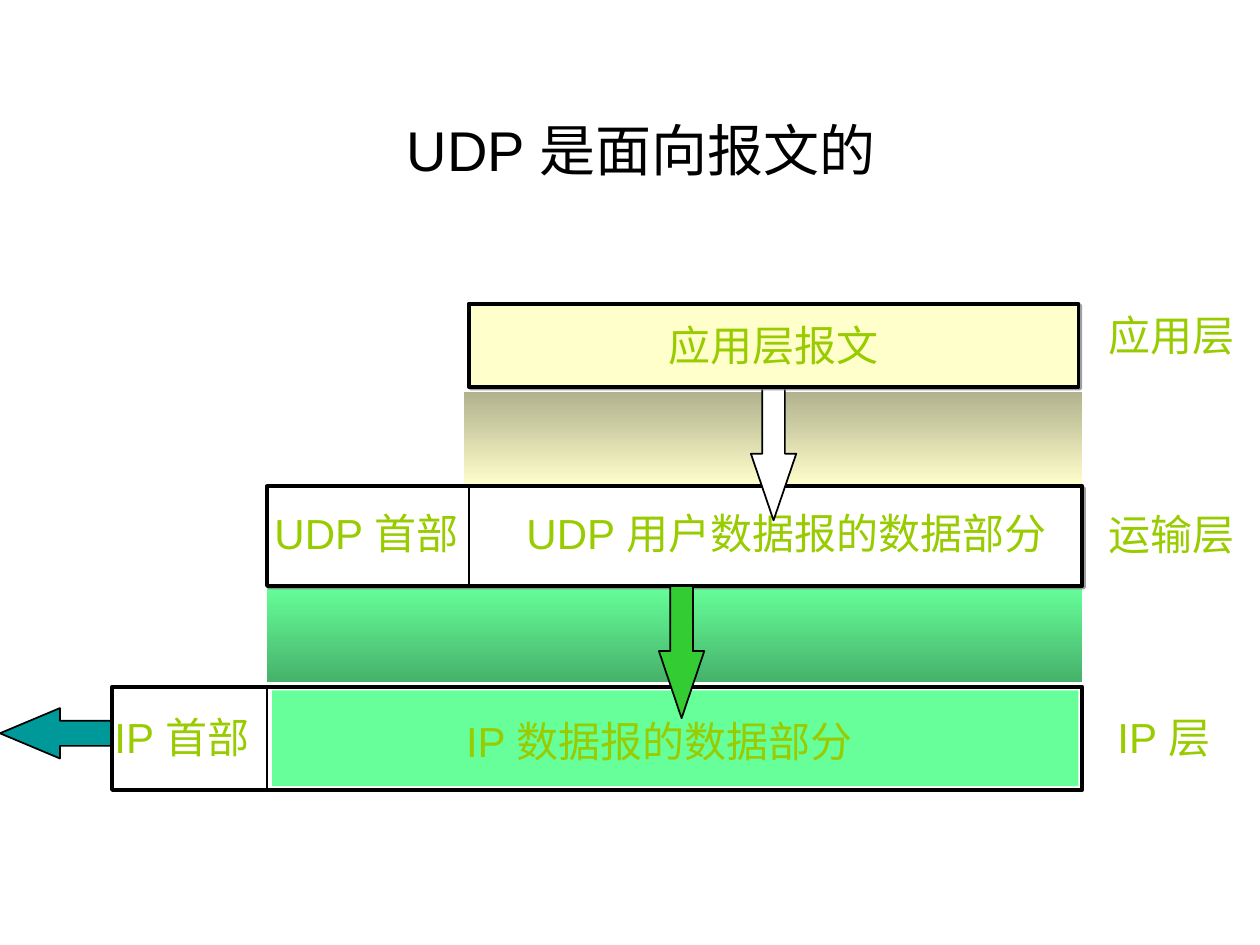
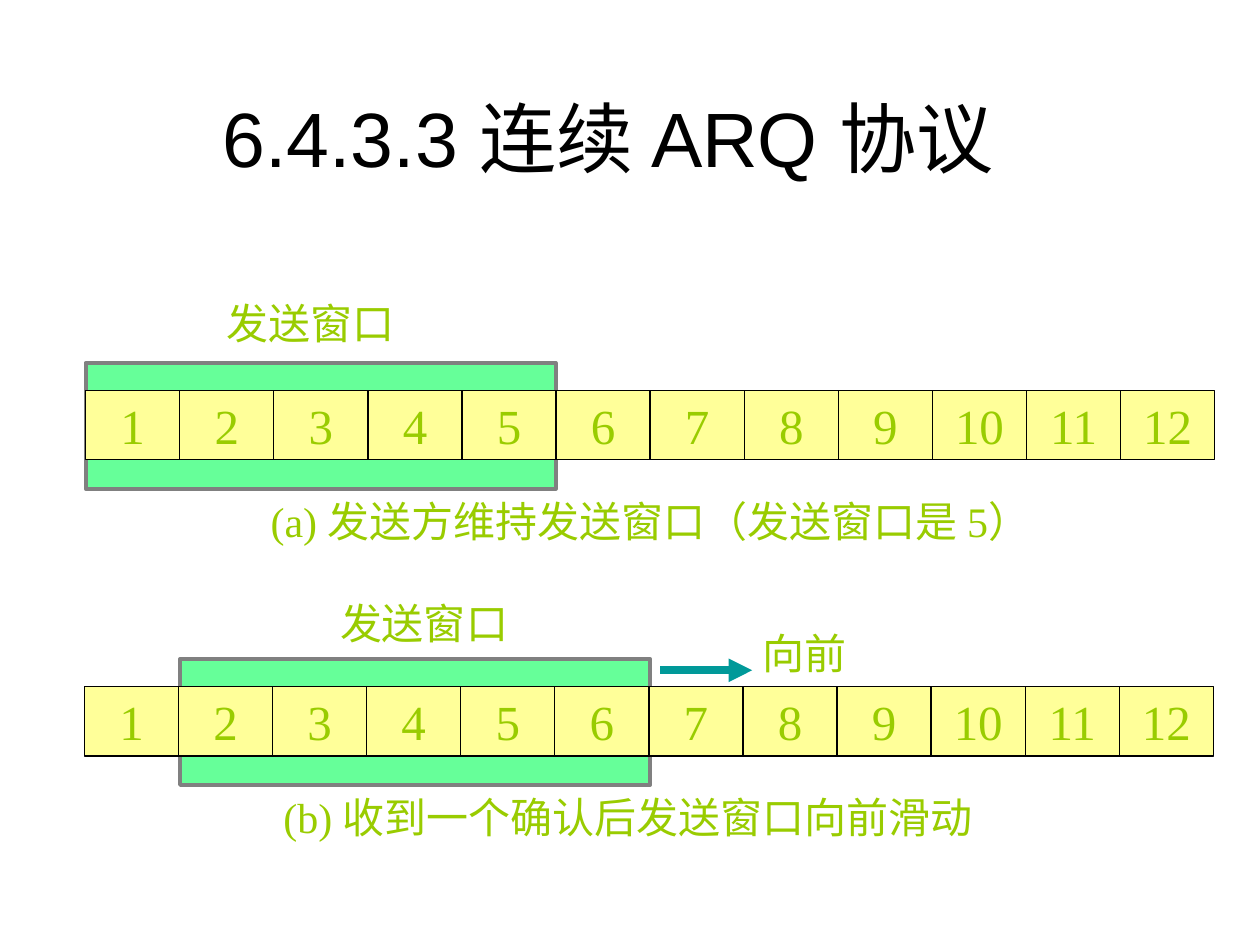
from lxml import etree
from pptx import Presentation
from pptx.dml.color import RGBColor
from pptx.enum.lang import MSO_LANGUAGE_ID
from pptx.enum.shapes import MSO_CONNECTOR, MSO_SHAPE
from pptx.enum.text import MSO_ANCHOR, MSO_AUTO_SIZE, PP_ALIGN
from pptx.oxml.ns import qn
from pptx.util import Inches, Pt

RECT, DOWN, LEFT = MSO_SHAPE.RECTANGLE, MSO_SHAPE.DOWN_ARROW, MSO_SHAPE.LEFT_ARROW
STRAIGHT = MSO_CONNECTOR.STRAIGHT
CENTER, START = PP_ALIGN.CENTER, PP_ALIGN.LEFT
TOP, MIDDLE, BOTTOM = MSO_ANCHOR.TOP, MSO_ANCHOR.MIDDLE, MSO_ANCHOR.BOTTOM
GROW, FIXED = MSO_AUTO_SIZE.SHAPE_TO_FIT_TEXT, MSO_AUTO_SIZE.NONE
CHINESE = MSO_LANGUAGE_ID.SIMPLIFIED_CHINESE

# Shared style
SANS, SERIF = "Arial", "Times New Roman"
BLACK, WHITE, GRAY = "000000", "FFFFFF", "808080"
LIME, MINT, TEAL, CREAM = "99CC00", "66FF99", "009999", "FFFFCC"

# Slide 1: place, then colours
BANDS = [
    ((2.12, 4.65, 6.47, 0.76), (MINT, "47B26B")),
    ((3.68, 3.11, 4.91, 0.75), ("B2B28E", CREAM)),
]
UDP_BOX = (2.12, 3.86, 6.47, 0.79)
IP_BOX = (0.89, 5.45, 7.7, 0.82)
IP_DATA = (2.16, 5.48, 6.4, 0.76)
APP_BOX = (3.72, 2.41, 4.84, 0.66)
SPLITS = [(3.72, UDP_BOX), (2.12, IP_BOX)]
LABELS = [
    ("IP 数据报的数据部分", (3.6, 5.63, 3.35, 0.5)),
    ("IP 首部", (0.81, 5.6, 1.35, 0.5)),
    ("IP 层", (8.77, 5.6, 1.02, 0.5)),
    ("UDP 首部", (2.08, 3.98, 1.74, 0.5)),
    ("UDP 用户数据报的数据部分", (4.08, 3.98, 4.41, 0.5)),
    ("运输层", (8.7, 3.99, 1.2, 0.5)),
    ("应用层", (8.7, 2.41, 1.2, 0.5)),
]
ARROWS = [
    (LEFT, (0, 5.62, 0.94, 0.4), TEAL, 1.19),
    (DOWN, (5.23, 4.65, 0.36, 1.05), "33CC33", 1.48),
    (DOWN, (5.96, 3.08, 0.36, 1.05), WHITE, 1.47),
]

# Slide 2: one strip of frames per row, with its window and labels
COUNT, SPAN, CELL_H = 12, 8.96, 0.55
WIN_W, WIN_H = 3.73, 1
ROWS = [
    dict(left=0.68, top=3.1, window=(0.68, 2.88), arrow=None, labels=[
        ("(a) 发送方维持发送窗口（发送窗口是 5）", (2.05, 3.88, 6.47, 0.5)),
        ("发送窗口", (1.7, 2.31, 1.53, 0.5))]),
    dict(left=0.67, top=5.45, window=(1.43, 5.23), arrow=(5.24, 5.32, 5.97, 5.32), labels=[
        ("(b) 收到一个确认后发送窗口向前滑动", (2.15, 6.23, 5.75, 0.5)),
        ("向前", (5.95, 4.93, 0.95, 0.5)),
        ("发送窗口", (2.6, 4.69, 1.55, 0.5))]),
]


def color(code):
    return RGBColor.from_string(code)


def place(box):
    return [Inches(n) for n in box]


def write(frame, text, size=24, font=SANS, ink=LIME, align=START, anchor=TOP,
          fit=FIXED, wrap=False):
    frame.word_wrap, frame.auto_size = wrap, fit
    frame.vertical_anchor = anchor
    para = frame.paragraphs[0]
    para.alignment = align
    run = para.add_run()
    run.text = text
    run.font.size, run.font.name = Pt(size), font
    run.font.color.rgb = color(ink)
    run.font.language_id = CHINESE


def label(parent, text, box, **style):
    frame = parent.add_textbox(*place(box)).text_frame
    write(frame, text, **style)


def shape(parent, box, fill, line=None, width=1, kind=RECT, shade=False):
    item = parent.add_shape(kind, *place(box))
    item.shadow.inherit = False
    if isinstance(fill, tuple):
        item.fill.gradient()
        item.fill.gradient_angle = 270
        for stop, code in zip(item.fill.gradient_stops, fill):
            stop.color.rgb = color(code)
    else:
        item.fill.solid()
        item.fill.fore_color.rgb = color(fill)
    if line:
        item.line.color.rgb = color(line)
        item.line.width = Pt(width)
    else:
        item.line.fill.background()
    if shade:
        effects = item._element.spPr.find(qn("a:effectLst"))
        drop = etree.SubElement(effects, qn("a:outerShdw"), blurRad="0",
                                dist=str(Pt(1.4)), dir="2700000", algn="tl", rotWithShape="0")
        tone = etree.SubElement(drop, qn("a:srgbClr"), val=GRAY)
        etree.SubElement(tone, qn("a:alpha"), val="75000")
    return item


def rule(parent, ends, ink=BLACK, width=1, arrow=False):
    item = parent.add_connector(STRAIGHT, *place(ends))
    item.line.color.rgb = color(ink)
    item.line.width = Pt(width)
    if arrow:
        etree.SubElement(item.line._get_or_add_ln(), qn("a:tailEnd"), type="triangle")
    etree.SubElement(item._element.spPr, qn("a:effectLst"))


def start(deck, title, width, size):
    parts = deck.slides.add_slide(deck.slide_layouts[6]).shapes
    label(parts, title, (0.5, 0.84, width, 0.66), size=size, ink=BLACK,
          align=CENTER, anchor=BOTTOM, wrap=True)
    return parts


def layers(deck):
    parts = start(deck, "UDP 是面向报文的 ", 9.28, 32)

    # The left arrow goes behind the boxes, the down arrows in front
    def arrow(kind, box, fill, head):
        item = shape(parts, box, fill, BLACK, kind=kind)
        item.adjustments[0], item.adjustments[1] = 0.5, head

    arrow(*ARROWS[0])
    for box, fade in BANDS:
        shape(parts, box, fade)
    shape(parts, UDP_BOX, WHITE, BLACK, 2.25, shade=True)
    shape(parts, IP_BOX, WHITE, BLACK, 2.25)
    shape(parts, IP_DATA, MINT)
    for x, (_, top, _, high) in SPLITS:
        rule(parts, (x, top, x, top + high))
    for text, box in LABELS:
        label(parts, text, box, fit=GROW)
    for down in ARROWS[1:]:
        arrow(*down)
    app = shape(parts, APP_BOX, CREAM, BLACK, 2.25, shade=True)
    write(app.text_frame, "应用层报文", align=CENTER, anchor=MIDDLE)


def strip(parts, row):
    left, top, step = row["left"], row["top"], SPAN / COUNT
    shape(parts, (*row["window"], WIN_W, WIN_H), MINT, GRAY, 2.25)
    shape(parts, (left, top, SPAN, CELL_H), "FFFF99", BLACK, 0.75)
    for i in range(COUNT):
        x = left + i * step
        label(parts, str(i + 1), (x, top, step, CELL_H), size=28, font=SERIF,
              align=CENTER, anchor=MIDDLE)
        if i:
            rule(parts, (x, top, x, top + CELL_H), width=0.75)
    for text, box in row["labels"]:
        label(parts, text, box, font=SERIF, fit=GROW)
    if row["arrow"]:
        rule(parts, row["arrow"], TEAL, 4.5, arrow=True)


def windows(deck):
    parts = start(deck, "6.4.3.3 连续 ARQ 协议 ", 8.79, 44)
    for row in ROWS:
        strip(parts if row is ROWS[0] else parts.add_group_shape().shapes, row)


def main():
    deck = Presentation()
    deck.slide_width, deck.slide_height = Inches(10), Inches(7.5)
    layers(deck)
    windows(deck)
    deck.save("out.pptx")


if __name__ == "__main__":
    main()
